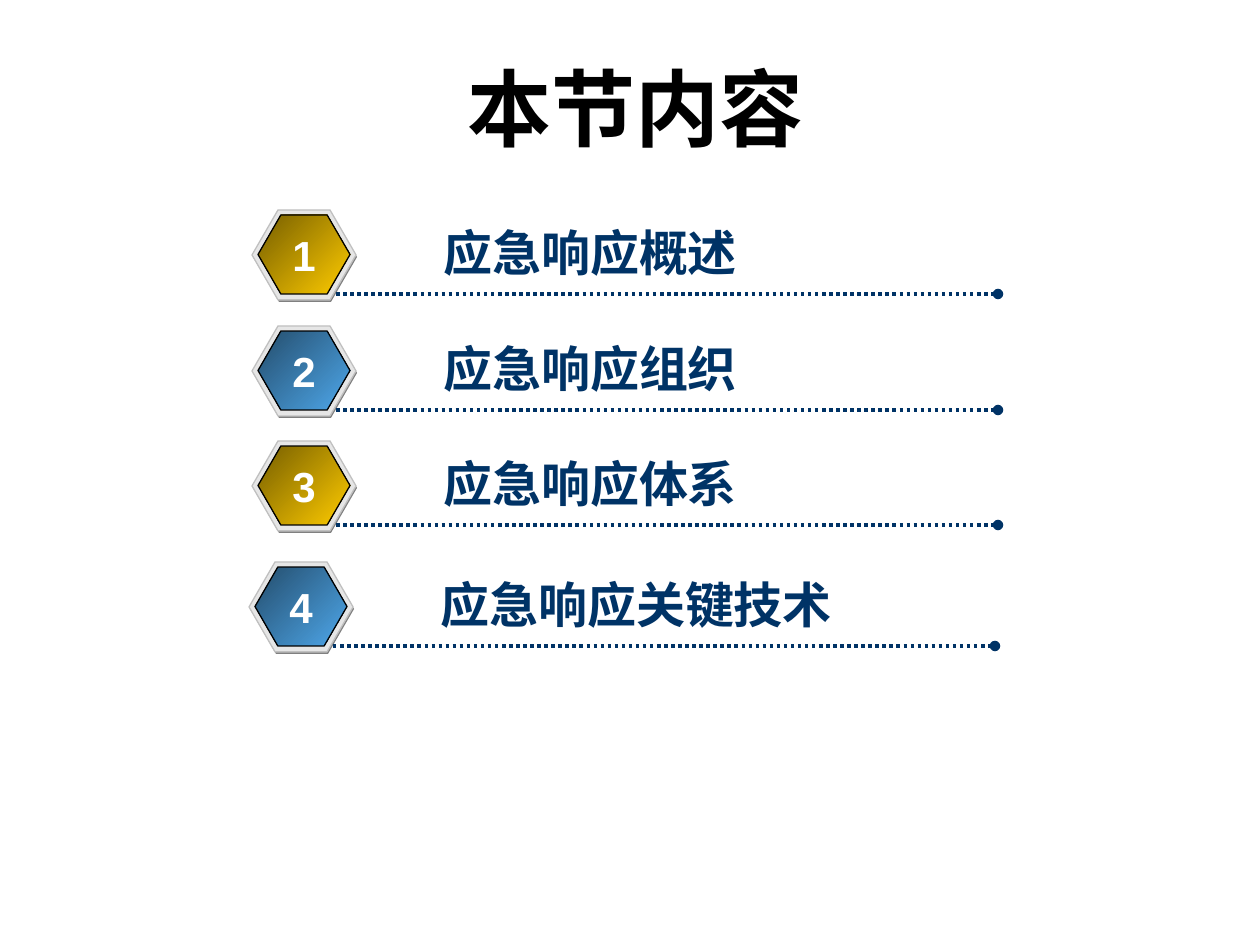
from dataclasses import dataclass

from lxml import etree
from pptx import Presentation
from pptx import util as u
from pptx.dml.color import RGBColor
from pptx.enum import dml, shapes, text
from pptx.oxml.ns import qn

PX = 914400 / 126  # EMU per px
CJK_FONT = "Noto Sans CJK SC"
COLORS = {
    "title": "000000",
    "navy": "003366",
    "number": "FFFFFF",
    "shade": "808080",
    "rim": "E6E6E6",
    "rim_edge": "C0C0C0",
    "badge_edge": "000000",
}
GOLD = ("765E00", "FFCC00")
BLUE = ("244D6C", "4EA7EA")


@dataclass
class Topic:
    left: int
    top: int
    label: str
    label_width: int
    gradient: tuple[str, str]


TOPICS = [
    Topic(252, 210, "应急响应概述", 320, GOLD),
    Topic(252, 326, "应急响应组织", 320, BLUE),
    Topic(252, 441, "应急响应体系", 320, GOLD),
    Topic(249, 562, "应急响应关键技术", 420, BLUE),
]


def px(*lengths: int) -> list[u.Emu]:
    return [u.Emu(round(length * PX)) for length in lengths]


def rgb(name: str) -> RGBColor:
    return RGBColor.from_string(COLORS[name])


def write(frame, words: str, *, size: int, color: str, font: str = "Arial",
          align=text.PP_ALIGN.LEFT, anchor=text.MSO_ANCHOR.TOP, wrap: bool = False,
          fit=text.MSO_AUTO_SIZE.SHAPE_TO_FIT_TEXT) -> None:
    frame.word_wrap = wrap
    frame.auto_size = fit
    frame.vertical_anchor = anchor
    paragraph = frame.paragraphs[0]
    paragraph.alignment = align
    run = paragraph.add_run()
    run.text = words
    run.font.size = u.Pt(size)
    run.font.bold = True
    run.font.name = font
    run.font.color.rgb = rgb(color)
    east_asian = etree.Element(qn("a:ea"), typeface=CJK_FONT)
    run.font._element.find(qn("a:latin")).addnext(east_asian)


def add_hexagon(group, left: int, top: int, width: int, height: int, *,
                fill: str | None = None, gradient: tuple[str, str] | None = None,
                edge: str | None = None) -> None:
    hexagon = group.shapes.add_shape(
        shapes.MSO_SHAPE.HEXAGON, *px(left, top, width, height))
    hexagon.adjustments[0] = 0.289
    hexagon.shadow.inherit = False
    if gradient:
        hexagon.fill.gradient()
        hexagon.fill.gradient_angle = 315
        for position, (stop, color) in enumerate(zip(hexagon.fill.gradient_stops, gradient)):
            stop.position = position
            stop.color.rgb = RGBColor.from_string(color)
    else:
        hexagon.fill.solid()
        hexagon.fill.fore_color.rgb = rgb(fill)
    if edge:
        hexagon.line.color.rgb = rgb(edge)
        hexagon.line.width = u.Pt(0.75)
    else:
        hexagon.line.fill.background()


def add_rule(group, left: int, right: int, y: int) -> None:
    """Dotted line that ends in a round dot."""
    rule = group.shapes.add_connector(
        shapes.MSO_CONNECTOR.STRAIGHT, *px(left, y, right, y))
    rule.line.color.rgb = rgb("navy")
    rule.line.width = u.Pt(2)
    rule.line.dash_style = dml.MSO_LINE.ROUND_DOT
    properties = rule._element.spPr
    etree.SubElement(properties.find(qn("a:ln")), qn("a:tailEnd"), type="oval")
    etree.SubElement(properties, qn("a:effectLst"))


def add_topic(slide, number: int, topic: Topic) -> None:
    group = slide.shapes.add_group_shape()
    x, y = topic.left, topic.top
    add_hexagon(group, x + 1, y + 2, 104, 90, fill="shade")
    add_hexagon(group, x, y, 104, 90, fill="rim", edge="rim_edge")
    add_hexagon(group, x + 6, y + 5, 92, 79, gradient=topic.gradient, edge="badge_edge")
    add_rule(group, x + 84, x + 746, y + 84)
    label = group.shapes.add_textbox(*px(x + 179, y + 6, topic.label_width, 72))
    write(label.text_frame, topic.label, size=28, color="navy")
    numeral = group.shapes.add_textbox(*px(x + 28, y + 13, 48, 63))
    write(numeral.text_frame, str(number), size=24, color="number",
          align=text.PP_ALIGN.CENTER)


def main() -> None:
    deck = Presentation()
    deck.slide_width, deck.slide_height = px(1260, 945)
    slide = deck.slides.add_slide(deck.slide_layouts[5])
    title = slide.shapes.title
    title.left, title.top, title.width, title.height = px(105, 73, 1061, 67)
    write(title.text_frame, "本节内容", size=48, color="title", font=CJK_FONT,
          align=text.PP_ALIGN.CENTER, anchor=text.MSO_ANCHOR.MIDDLE, wrap=True,
          fit=text.MSO_AUTO_SIZE.NONE)
    for number, topic in enumerate(TOPICS, start=1):
        add_topic(slide, number, topic)
    deck.save("out.pptx")


if __name__ == "__main__":
    main()
